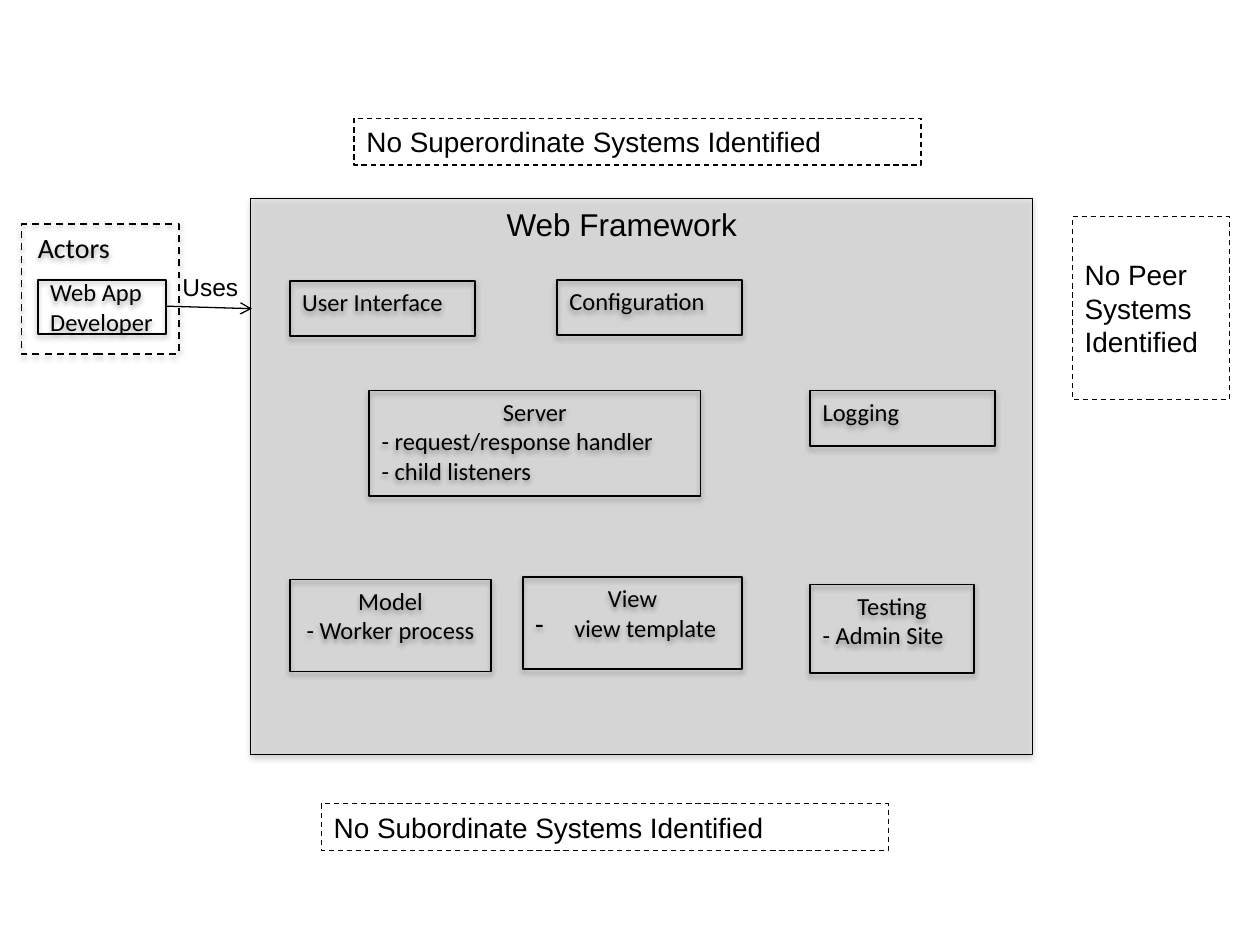
import dataclasses

import pptx
import pptx.dml.color
import pptx.enum.dml
import pptx.enum.shapes
import pptx.enum.text
import pptx.oxml
import pptx.oxml.ns
import pptx.util
from pptx.util import Inches

ALIGN = pptx.enum.text.PP_ALIGN
ANCHOR = pptx.enum.text.MSO_ANCHOR
NAMESPACE = pptx.oxml.ns.nsdecls("a")


@dataclasses.dataclass(frozen=True)
class Theme:
    """Colours, fonts and type sizes of the diagram."""
    ink: str = "000000"
    panel: str = "D9D9D9"
    label_font: str = "Arial"
    component_font: str = "Calibri"
    heading: int = 18
    note: int = 16
    body: int = 14
    box_line: float = 1
    thin_line: float = 0.75
    panel_line: float = 0.25


THEME = Theme()


def colour(value):
    """Return an RGB colour from its hexadecimal value."""
    return pptx.dml.color.RGBColor.from_string(value)


def add_soft_shadow(shape):
    """Give a shape a soft shadow falling downwards."""
    shape._element.spPr.append(pptx.oxml.parse_xml(
        f'<a:effectLst {NAMESPACE}><a:outerShdw blurRad="40000" dist="23000" dir="5400000" rotWithShape="0">'
        f'<a:srgbClr val="{THEME.ink}"><a:alpha val="35000"/></a:srgbClr></a:outerShdw></a:effectLst>'))


def add_box(slide, box, width=THEME.box_line, dashed=False, shadow=True):
    """Add an unfilled rectangle with an outline."""
    shape = slide.shapes.add_shape(
        pptx.enum.shapes.MSO_SHAPE.RECTANGLE, *map(Inches, box))
    shape.fill.background()
    shape.line.color.rgb = colour(THEME.ink)
    shape.line.width = pptx.util.Pt(width)
    if dashed:
        shape.line.dash_style = pptx.enum.dml.MSO_LINE.DASH
    if shadow:
        add_soft_shadow(shape)
    else:
        shape.shadow.inherit = False
    return shape


def write(shape, text, size, font, alignments=(ALIGN.LEFT,), anchor=ANCHOR.TOP, wrap=True):
    """Fill a shape with text, one alignment for each paragraph."""
    frame = shape.text_frame
    frame.text = text
    frame.word_wrap = wrap
    frame.vertical_anchor = anchor
    for paragraph, alignment in zip(frame.paragraphs, alignments):
        paragraph.alignment = alignment
        for run in paragraph.runs:
            run.font.size = pptx.util.Pt(size)
            run.font.name = font
            run.font.color.rgb = colour(THEME.ink)
    return frame


def add_label(slide, box, text, size, alignment):
    """Add a one-line label without an outline."""
    label = slide.shapes.add_textbox(*map(Inches, box))
    write(label, text, size, THEME.label_font, (alignment,), wrap=False)


def add_note(slide, box, text):
    """Add a dashed box about neighbouring systems."""
    shape = add_box(slide, box, THEME.thin_line, dashed=True, shadow=False)
    write(shape, text, THEME.note, THEME.label_font, anchor=ANCHOR.MIDDLE)


def add_component(slide, box, lines, detail_alignment=ALIGN.LEFT, bulleted=False):
    """Add a framework component with its name and details."""
    name_alignment = ALIGN.CENTER if len(lines) > 1 else ALIGN.LEFT
    alignments = [name_alignment] + [detail_alignment] * (len(lines) - 1)
    frame = write(add_box(slide, box), "\n".join(lines), THEME.body,
                  THEME.component_font, alignments, wrap=False)
    if bulleted:
        for paragraph in frame.paragraphs[1:]:
            properties = paragraph._p.get_or_add_pPr()
            properties.set("marL", str(Inches(0.31)))
            properties.set("indent", str(Inches(-0.31)))
            properties.append(pptx.oxml.parse_xml(f'<a:buChar {NAMESPACE} char="-"/>'))


def add_framework(slide, box):
    """Add the framework panel with its heading and components."""
    left, top, width, height = box
    panel = add_box(slide, box, THEME.panel_line)
    panel.fill.solid()
    panel.fill.fore_color.rgb = colour(THEME.panel)
    panel.fill._xPr.solidFill[0].append(
        pptx.oxml.parse_xml(f'<a:alpha {NAMESPACE} val="50000"/>'))
    add_label(slide, (left + 1.54, top + 0.01, 2.81, 0.4),
              "Web Framework", THEME.heading, ALIGN.CENTER)
    components = (
        ((0.31, 0.66, 1.47, 0.44), ["User Interface"], {}),
        ((2.43, 0.65, 1.47, 0.44), ["Configuration"], {}),
        ((0.94, 1.53, 2.63, 0.84),
         ["Server", "- request/response handler", "- child listeners"], {}),
        ((4.44, 1.53, 1.47, 0.44), ["Logging"], {}),
        ((0.31, 3.03, 1.6, 0.73), ["Model", "- Worker process"],
         {"detail_alignment": ALIGN.CENTER}),
        ((2.16, 3.01, 1.74, 0.73), ["View", "view template"], {"bulleted": True}),
        ((4.44, 3.07, 1.3, 0.7), ["Testing", "- Admin Site"], {}),
    )
    for (x, y, wide, high), lines, options in components:
        add_component(slide, (left + x, top + y, wide, high), lines, **options)


def add_actors(slide, box):
    """Add the actors group and its arrow to the framework."""
    left, top, width, height = box
    developer = add_box(slide, (left + 0.13, top + 0.44, 1.02, 0.43))
    write(developer, "Web App Developer", THEME.body, THEME.component_font,
          anchor=ANCHOR.MIDDLE)
    group = add_box(slide, box, dashed=True)
    frame = write(group, "Actors", THEME.note, THEME.component_font)
    frame.margin_left = Inches(0.13)
    arrow = slide.shapes.add_connector(
        pptx.enum.shapes.MSO_CONNECTOR.STRAIGHT,
        Inches(left + 1.15), Inches(top + 0.65), Inches(left + 1.83), Inches(top + 0.67))
    arrow.line.color.rgb = colour(THEME.ink)
    arrow.line.width = pptx.util.Pt(THEME.thin_line)
    arrow.line._get_or_add_ln().append(
        pptx.oxml.parse_xml(f'<a:tailEnd {NAMESPACE} type="arrow"/>'))
    arrow._element.spPr.append(pptx.oxml.parse_xml(f'<a:effectLst {NAMESPACE}/>'))
    add_label(slide, (left + 1.15, top + 0.33, 0.67, 0.34), "Uses", THEME.body, ALIGN.RIGHT)


def build():
    """Build and save the system context slide."""
    presentation = pptx.Presentation()
    presentation.slide_width = Inches(10)
    presentation.slide_height = Inches(7.5)
    slide = presentation.slides.add_slide(presentation.slide_layouts[6])
    add_framework(slide, (1.99, 1.57, 6.2, 4.42))
    add_actors(slide, (0.17, 1.78, 1.25, 1.03))
    add_note(slide, (2.81, 0.94, 4.5, 0.37), "No Superordinate Systems Identified")
    add_note(slide, (8.51, 1.72, 1.25, 1.45), "No Peer Systems Identified")
    add_note(slide, (2.55, 6.38, 4.5, 0.37), "No Subordinate Systems Identified")
    presentation.save("out.pptx")


build()
